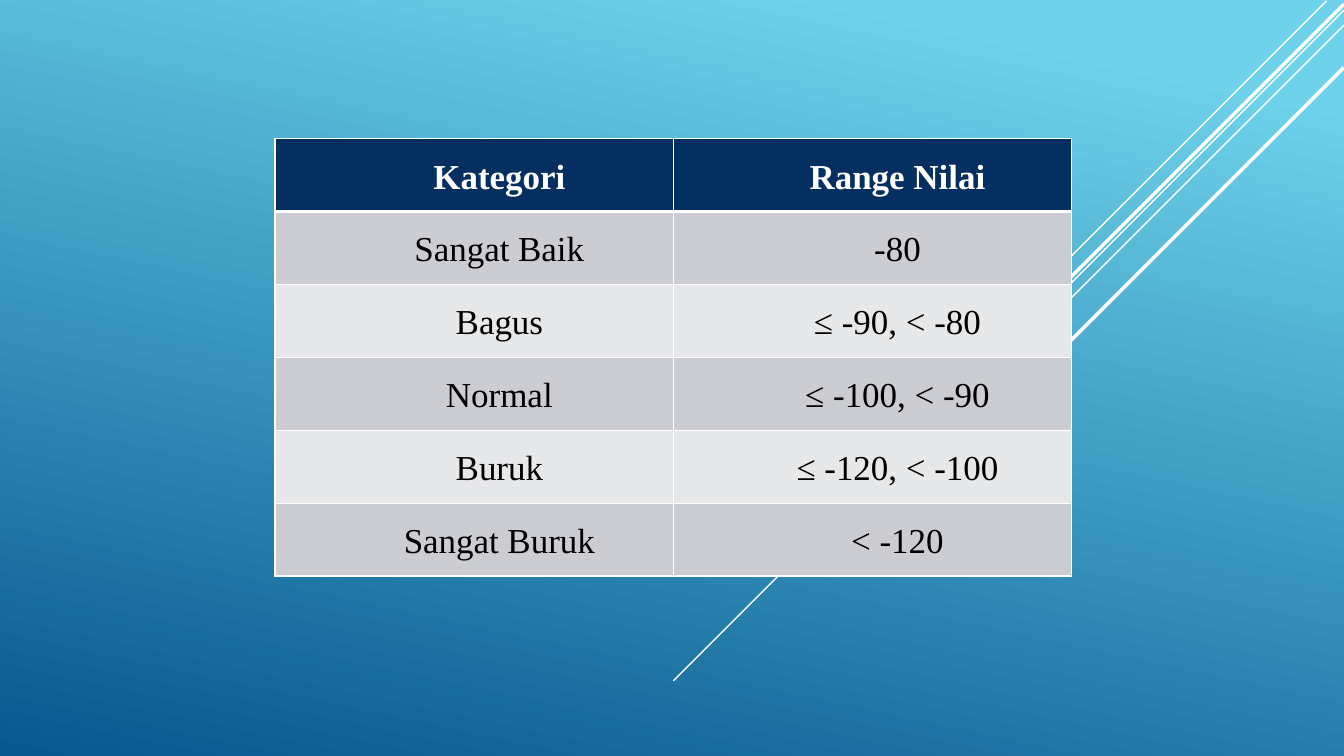
from lxml.etree import SubElement
from pptx import Presentation
from pptx.dml.color import RGBColor
from pptx.enum.shapes import MSO_CONNECTOR
from pptx.enum.text import PP_ALIGN
from pptx.oxml import parse_xml
from pptx.oxml.ns import nsdecls, qn
from pptx.util import Pt

WHITE = "FFFFFF"
HEADER_FILL = "052F61"
BAND_FILLS = ("CCCDD2", "E7E8EA")

CATEGORY_RANGES = [
    ("Kategori", "Range Nilai"),
    ("Sangat Baik", "-80"),
    ("Bagus", "≤ -90, < -80"),
    ("Normal", "≤ -100, < -90"),
    ("Buruk", "≤ -120, < -100"),
    ("Sangat Buruk", "< -120"),
]

# Right end (x, y), horizontal run and width of each 45-degree ray
RAYS = [
    (947.5, 0.7, 300, 1),
    (960, 7.2, 479, 1),
    (960, 18, 390.4, 1),
    (960, 2.9, 382, 2.5),
    (960, 48.2, 342, 2.5),
]


def color(hex_value):
    return RGBColor.from_string(hex_value)


def paint_background(slide):
    fill = slide.background.fill
    fill.gradient()
    fill.gradient_angle = 258
    for stop, (position, hex_value) in zip(
        fill.gradient_stops, [(0.1, "6ED2EB"), (1, "06588E")]
    ):
        stop.position = position
        stop.color.rgb = color(hex_value)


def add_ray(slide, right, top, run, width):
    """Draw a white line falling to the left at 45 degrees."""
    ray = slide.shapes.add_connector(
        MSO_CONNECTOR.STRAIGHT, Pt(right), Pt(top), Pt(right - run), Pt(top + run)
    )
    ray.line.color.rgb = color(WHITE)
    ray.line.width = Pt(width)
    SubElement(ray._element.spPr, qn("a:effectLst"))


def set_borders(cell, top, bottom):
    widths = {"lnL": 1, "lnR": 1, "lnT": top, "lnB": bottom}
    properties = cell._tc.get_or_add_tcPr()
    for index, (side, width) in enumerate(widths.items()):
        border = parse_xml(
            f'<a:{side} {nsdecls("a")} w="{Pt(width)}"><a:solidFill>'
            f'<a:srgbClr val="{WHITE}"/></a:solidFill></a:{side}>'
        )
        properties.insert(index, border)


def write_cell(cell, text, fill, text_color, bold):
    cell.fill.solid()
    cell.fill.fore_color.rgb = color(fill)
    cell.margin_left = cell.margin_right = Pt(5)
    cell.margin_top = cell.margin_bottom = 0

    paragraph = cell.text_frame.paragraphs[0]
    paragraph.alignment = PP_ALIGN.CENTER
    paragraph.line_spacing = 1.5
    indents = paragraph._p.get_or_add_pPr()
    indents.set("marL", str(Pt(36)))
    indents.set("indent", "0")

    run = paragraph.add_run()
    run.text = text
    run.font.name = "Times New Roman"
    run.font.size = Pt(25)
    run.font.bold = bold
    run.font.color.rgb = color(text_color)


def add_category_table(slide):
    table = slide.shapes.add_table(
        len(CATEGORY_RANGES), 2, Pt(196.5), Pt(99), Pt(568.8), Pt(312.6)
    ).table
    for column in table.columns:
        column.width = Pt(284.4)
    for row_index, texts in enumerate(CATEGORY_RANGES):
        table.rows[row_index].height = Pt(52.1)
        is_header = row_index == 0
        fill = HEADER_FILL if is_header else BAND_FILLS[(row_index - 1) % 2]
        for cell, text in zip(table.rows[row_index].cells, texts):
            write_cell(cell, text, fill, WHITE if is_header else "000000", is_header)
            set_borders(
                cell, top=3 if row_index == 1 else 1, bottom=3 if is_header else 1
            )


def main():
    presentation = Presentation()
    presentation.slide_width = Pt(960)
    presentation.slide_height = Pt(540)
    slide = presentation.slides.add_slide(presentation.slide_layouts[6])
    paint_background(slide)
    for ray in RAYS:
        add_ray(slide, *ray)
    add_category_table(slide)
    presentation.save("out.pptx")


if __name__ == "__main__":
    main()
